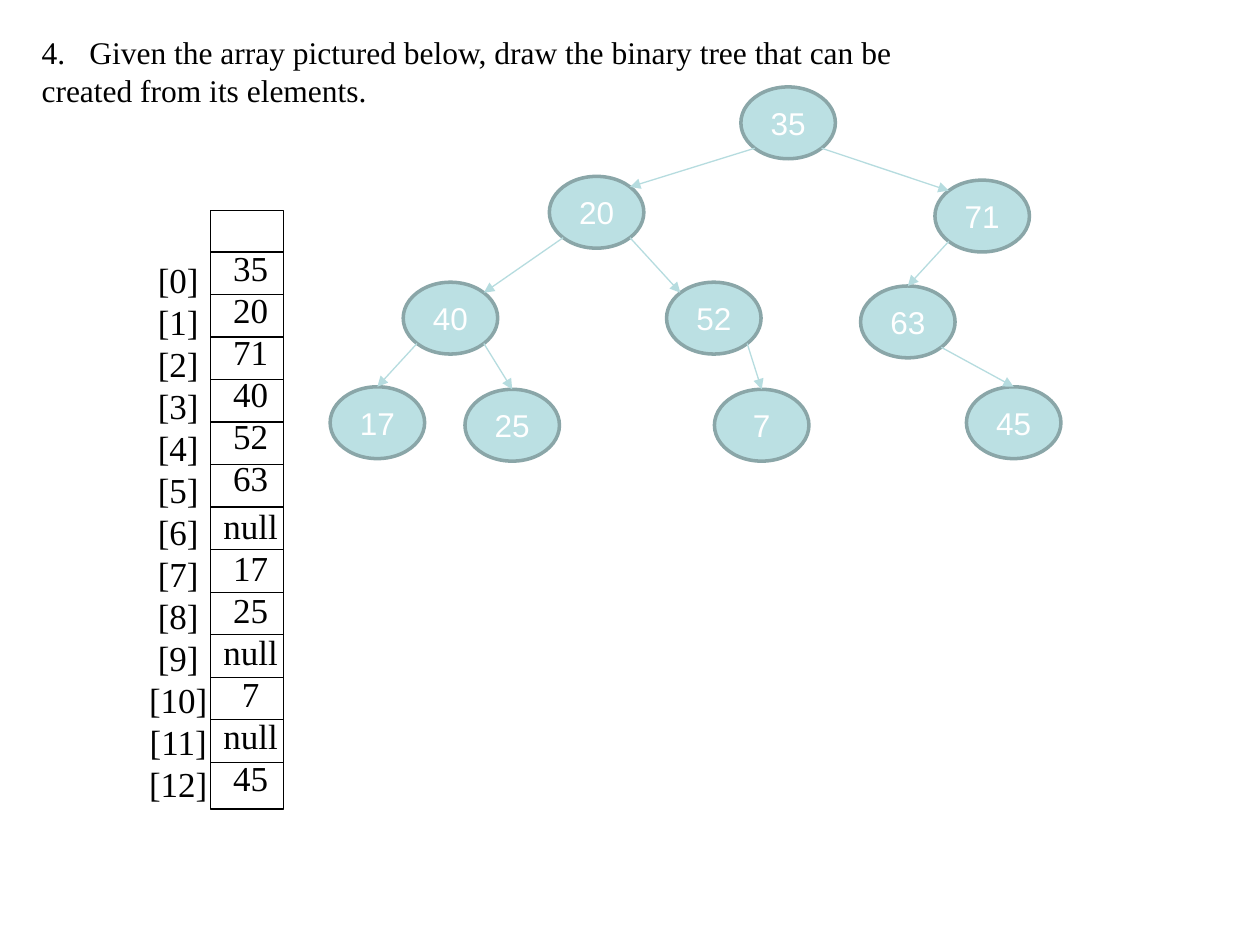
from math import sqrt

from lxml.etree import SubElement
from pptx import Presentation
from pptx.dml.color import RGBColor
from pptx.enum.shapes import MSO_CONNECTOR, MSO_SHAPE
from pptx.enum.text import MSO_ANCHOR, MSO_AUTO_SIZE, PP_ALIGN
from pptx.oxml.ns import qn
from pptx.util import Inches, Pt

COLORS = {"ink": "000000", "node": "BBE0E3", "rim": "8AA6A8", "arrow": "B6DCDF", "label": "FFFFFF"}
SERIF, SANS = "Times New Roman", "Arial"
NODE_WIDTH, NODE_HEIGHT = 0.75, 0.57
QUESTION = ["Given the array pictured below, draw the binary tree that can be",
            "created from its elements."]
VALUES = ["35", "20", "71", "40", "52", "63", "null", "17", "25", "null", "7", "null", "45"]
NODES = {"35": (3.26, 0), "20": (1.74, 0.71), "71": (4.8, 0.74), "40": (0.58, 1.55),
         "52": (2.67, 1.55), "63": (4.21, 1.58), "7": (3.05, 2.4), "25": (1.07, 2.4),
         "17": (0, 2.38), "45": (5.05, 2.38)}
EDGES = [("35", "left", "20", "right"), ("35", "right", "71", "left"),
         ("20", "left", "40", "right"), ("20", "right", "52", "left"),
         ("71", "left", "63", "middle"), ("40", "left", "17", "middle"),
         ("40", "right", "25", "middle"), ("52", "right", "7", "middle"),
         ("63", "right", "45", "middle")]


def color(name):
    """Return the named colour."""
    return RGBColor.from_string(COLORS[name])


def format_text(frame, font, size, ink, align, line_height=None):
    """Format every paragraph and span of a text frame."""
    for para in frame.paragraphs:
        para.alignment = align
        if line_height:
            para.line_spacing = Pt(line_height)
        for span in para.runs:
            span.font.name = font
            span.font.size = Pt(size)
            span.font.color.rgb = color(ink)


def add_line(page, start, end, ink, arrow=False):
    """Draw a thin straight line, with an arrowhead if asked."""
    line = page.shapes.add_connector(MSO_CONNECTOR.STRAIGHT, *map(Inches, start + end))
    line.line.color.rgb = color(ink)
    line.line.width = Pt(0.75)
    if arrow:
        SubElement(line.line._get_or_add_ln(), qn("a:tailEnd"), type="triangle")
    SubElement(line._element.spPr, qn("a:effectLst"))


def add_question(page, left, top, width, height):
    """Place the numbered question in the title placeholder."""
    title = page.shapes.title
    title.left, title.top, title.width, title.height = map(Inches, (left, top, width, height))
    frame = title.text_frame
    frame.text = "\n".join(QUESTION)
    frame.word_wrap = False
    frame.auto_size = MSO_AUTO_SIZE.NONE
    frame.vertical_anchor = MSO_ANCHOR.TOP
    format_text(frame, SERIF, 18, "ink", PP_ALIGN.LEFT, 21.7)
    numbering = frame.paragraphs[0]._p.get_or_add_pPr()
    numbering.set("marL", str(Inches(0.38)))
    numbering.set("indent", str(Inches(-0.38)))
    SubElement(numbering, qn("a:buFont"), typeface="+mj-lt")
    SubElement(numbering, qn("a:buAutoNum"), type="arabicPeriod", startAt="4")


def add_column(page, left, top, width, height, entries):
    """Place a centred column of entries, one to a line."""
    box = page.shapes.add_textbox(*map(Inches, (left, top, width, height)))
    frame = box.text_frame
    frame.text = "\n".join(entries)
    frame.word_wrap = False
    format_text(frame, SERIF, 20, "ink", PP_ALIGN.CENTER, 24)
    return frame


def add_array(page, left, top, width, height):
    """Draw the array cells with their indexes and values."""
    cells = page.shapes.add_shape(MSO_SHAPE.RECTANGLE, *map(Inches, (left, top, width, height)))
    cells.shadow.inherit = False
    cells.fill.background()
    cells.line.color.rgb = color("ink")
    cells.line.width = Pt(0.75)
    first, step = top + 0.33, 0.3375
    for row in range(len(VALUES)):
        y = first + row * step
        add_line(page, (left, y), (left + width, y), "ink")
    indexes = [f"[{row}]" for row in range(len(VALUES))]
    add_column(page, left - 0.59, first, 0.67, 4.48, indexes)
    values = add_column(page, left, top + 0.24, 0.64, 4.48, VALUES)
    values.paragraphs[VALUES.index("null")].space_before = Pt(3)


def node_point(left, top, value, side, bottom):
    """Return the point on a node's rim where an arrow meets it."""
    across = {"left": -1 / sqrt(2), "middle": 0, "right": 1 / sqrt(2)}[side]
    down = sqrt(1 - across ** 2) * (1 if bottom else -1)
    x, y = NODES[value]
    return (left + x + NODE_WIDTH / 2 * (1 + across), top + y + NODE_HEIGHT / 2 * (1 + down))


def add_tree(page, left, top):
    """Draw the nodes of the binary tree and the arrows between them."""
    for value, (x, y) in NODES.items():
        node = page.shapes.add_shape(MSO_SHAPE.FLOWCHART_CONNECTOR, Inches(left + x),
                                     Inches(top + y), Inches(NODE_WIDTH), Inches(NODE_HEIGHT))
        node.shadow.inherit = False
        node.fill.solid()
        node.fill.fore_color.rgb = color("node")
        node.line.color.rgb = color("rim")
        node.line.width = Pt(2)
        node.text_frame.text = value
        node.text_frame.vertical_anchor = MSO_ANCHOR.MIDDLE
        format_text(node.text_frame, SANS, 18, "label", PP_ALIGN.CENTER)
    for parent, start_side, child, end_side in EDGES:
        add_line(page, node_point(left, top, parent, start_side, True),
                 node_point(left, top, child, end_side, False), "arrow", arrow=True)


def build():
    """Build and save the deck."""
    deck = Presentation()
    deck.slide_width, deck.slide_height = Inches(10), Inches(7.5)
    page = deck.slides.add_slide(deck.slide_layouts[5])
    add_question(page, 0.23, 0.21, 7.02, 0.71)
    add_array(page, 1.67, 1.67, 0.58, 4.75)
    add_tree(page, 2.62, 0.69)
    deck.save("out.pptx")


build()
